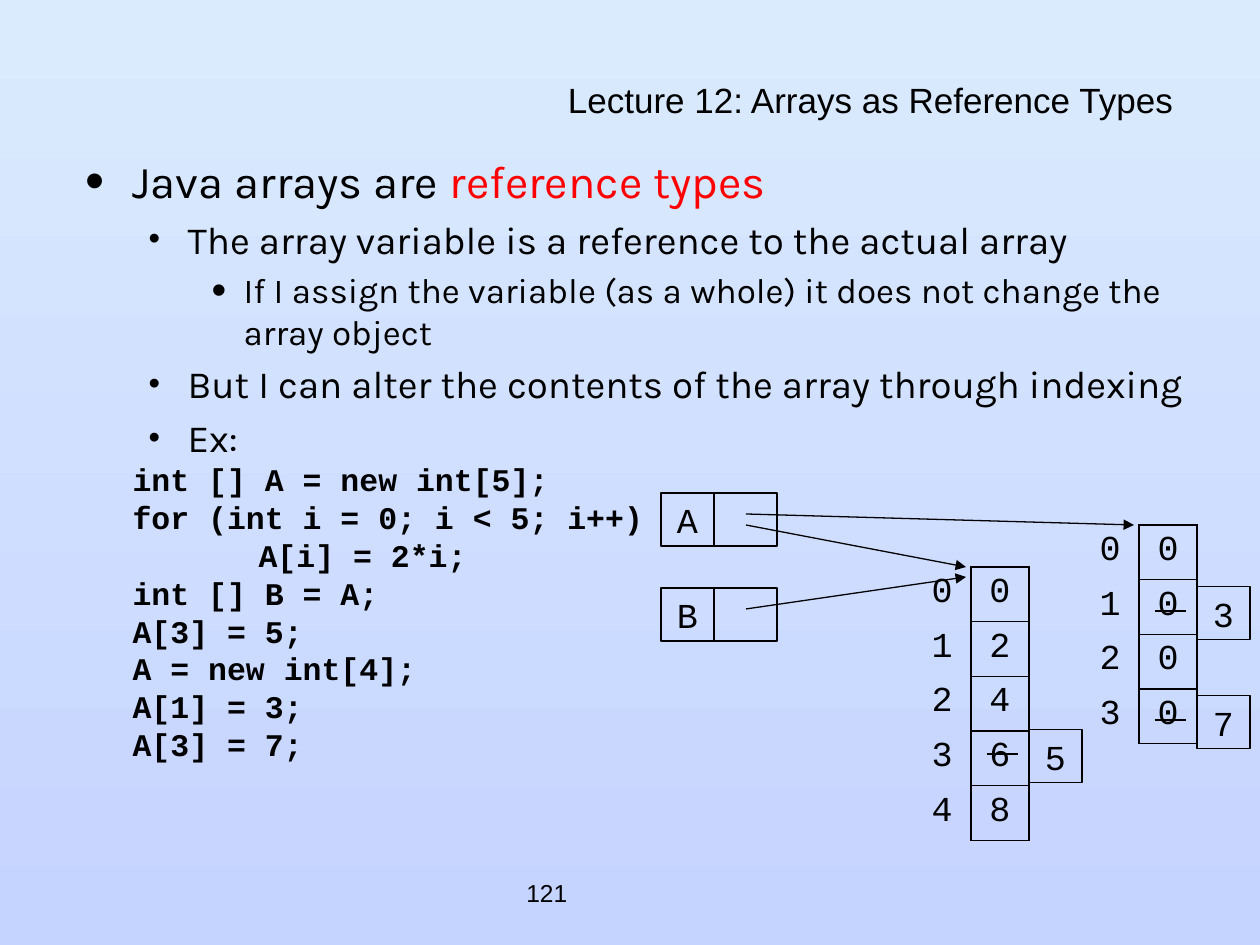
from lxml.etree import SubElement
from pptx import Presentation
from pptx.dml.color import RGBColor
from pptx.enum.shapes import MSO_CONNECTOR as Connector, MSO_SHAPE as Shape
from pptx.enum.text import MSO_ANCHOR as Anchor, MSO_AUTO_SIZE as AutoSize, PP_ALIGN as Align
from pptx.oxml.ns import qn
from pptx.util import Emu, Pt

BLACK = RGBColor(0x00, 0x00, 0x00)
RED = RGBColor(0xFF, 0x00, 0x00)
SKY = RGBColor(0xDA, 0xEB, 0xFE)
LAVENDER = RGBColor(0xC5, 0xD3, 0xFF)
SANS, BODY, MONO = "Arial", "Karla", "Courier New"
PLAIN_TABLE = "{2D5ABB26-0587-4C30-8999-92F81FD0307C}"
CELL = 53

LEVELS = [
    {"margin": 47, "hang": 47, "bullet_size": 120, "size": 26},
    {"margin": 102, "hang": 39, "bullet_size": 85, "size": 22},
    {"margin": 158, "hang": 32, "bullet_size": 120, "size": 20},
]
POINTS = [
    (0, [("Java arrays are ", BLACK), ("reference types", RED)]),
    (1, [("The array variable is a reference to the actual array", BLACK)]),
    (2, [("If I assign the variable (as a whole) it does not change the array object", BLACK)]),
    (1, [("But I can alter the contents of the array through indexing", BLACK)]),
    (1, [("Ex:", BLACK)]),
]
CODE = [
    (0, "int [] A = new int[5];"),
    (0, "for (int i = 0; i < 5; i++)"),
    (1, "A[i] = 2*i;"),
    (0, "int [] B = A;"),
    (0, "A[3] = 5;"),
    (0, "A = new int[4];"),
    (0, "A[1] = 3;"),
    (0, "A[3] = 7;"),
]


def px(length):
    """Convert slide pixels to EMU."""
    return Emu(round(length * 914400 / 126))


def place(shape, box):
    """Move and size a shape to a pixel box."""
    shape.left, shape.top, shape.width, shape.height = map(px, box)


def write(paragraph, text, *, size=20, font=MONO, color=BLACK, bold=False, align=None):
    """Append a formatted run to a paragraph."""
    run = paragraph.add_run()
    run.text = text
    run.font.size, run.font.name, run.font.bold = Pt(size), font, bold
    run.font.color.rgb = color
    if align is not None:
        paragraph.alignment = align


def indent(paragraph, margin, hang=0, bullet_size=None):
    """Set the indent of a paragraph and its bullet, if it has one."""
    props = paragraph._p.get_or_add_pPr()
    props.set("marL", str(px(margin)))
    props.set("indent", str(-px(hang)))
    if bullet_size is None:
        SubElement(props, qn("a:buNone"))
        return
    color = SubElement(props, qn("a:buClr"))
    SubElement(color, qn("a:srgbClr"), val=str(BLACK))
    SubElement(props, qn("a:buSzPct"), val=str(bullet_size * 1000))
    SubElement(props, qn("a:buChar"), char="•")


def add_title(slide, box):
    """Fill the title placeholder."""
    title = slide.shapes.title
    place(title, box)
    title.text_frame.vertical_anchor = Anchor.MIDDLE
    heading = title.text_frame.paragraphs[0]
    heading.line_spacing = 0.7
    write(heading, "Lecture 12: Arrays as Reference Types", font=SANS, align=Align.RIGHT)


def add_body(slide, box):
    """Fill the body placeholder with the points and the code example."""
    body = slide.placeholders[1]
    place(body, box)
    frame = body.text_frame
    frame.auto_size = AutoSize.NONE
    for number, (level, runs) in enumerate(POINTS):
        point = frame.add_paragraph() if number else frame.paragraphs[0]
        point.level = level
        style = LEVELS[level]
        indent(point, style["margin"], style["hang"], style["bullet_size"])
        for text, color in runs:
            write(point, text, size=style["size"], font=BODY, color=color)
    for depth, text in CODE:
        statement = frame.add_paragraph()
        indent(statement, LEVELS[0]["margin"] + 126 * depth)
        statement.space_before = Pt(0)
        statement.line_spacing = Pt(21.6)
        write(statement, text, size=18, bold=True)


def add_page_number(slide, box):
    """Add the page number."""
    page_number = slide.shapes.add_textbox(*map(px, box)).text_frame
    page_number.word_wrap = True
    page_number.vertical_anchor = Anchor.MIDDLE
    write(page_number.paragraphs[0], "121", size=14, font=SANS)


def add_square(slide, left, top, width=CELL, text=None):
    """Add an outlined box with an optional centred character."""
    square = slide.shapes.add_shape(Shape.RECTANGLE, *map(px, (left, top, width, CELL)))
    square.shadow.inherit = False
    square.fill.background()
    square.line.color.rgb = BLACK
    square.line.width = Pt(0.75)
    if text:
        square.text_frame.word_wrap = False
        square.text_frame.vertical_anchor = Anchor.MIDDLE
        write(square.text_frame.paragraphs[0], text, align=Align.CENTER)


def add_line(slide, start, end, weight=0.75, arrow=False):
    """Draw a straight line, with an arrowhead at its end if asked."""
    line = slide.shapes.add_connector(Connector.STRAIGHT, *map(px, start + end))
    line.line.color.rgb = BLACK
    line.line.width = Pt(weight)
    if arrow:
        SubElement(line.line._get_or_add_ln(), qn("a:tailEnd"), type="triangle")
    SubElement(line._element.spPr, qn("a:effectLst"))


def add_variable(slide, left, top, name, targets):
    """Draw a reference variable and its arrows, given as (rise of tail, tip)."""
    add_square(slide, left, top, text=name)
    add_square(slide, left + CELL, top, width=63)
    for drop, tip in targets:
        add_line(slide, (left + 85, top + drop), tip, arrow=True)


def outline(cell):
    """Give a table cell a black border on every side."""
    props = cell._tc.get_or_add_tcPr()
    for position, side in enumerate(("lnL", "lnR", "lnT", "lnB")):
        SubElement(props, qn(f"a:{side}"), w=str(Pt(1)))
        border = props[-1]
        fill = SubElement(border, qn("a:solidFill"))
        SubElement(fill, qn("a:srgbClr"), val=str(BLACK))
        props.insert(position, border)


def add_array(slide, box, values, changes):
    """Draw an array table; changes maps an index to its new value."""
    left, top, width, height = box
    row_height = height / len(values)
    table = slide.shapes.add_table(len(values), 2, *map(px, box)).table
    table.first_row = table.horz_banding = False
    table._tbl.tblPr.find(qn("a:tableStyleId")).text = PLAIN_TABLE
    for index, value in enumerate(values):
        table.rows[index].height = px(row_height)
        for column, number in enumerate((index, value)):
            cell = table.cell(index, column)
            cell.fill.background()
            write(cell.text_frame.paragraphs[0], str(number), align=Align.CENTER)
        outline(table.cell(index, 1))
    for index, new_value in changes.items():
        middle = top + (index + 0.5) * row_height
        add_line(slide, (left + 74, middle + 4), (left + 105, middle + 4), weight=1.25)
        add_square(slide, left + width, middle - 20, text=str(new_value))


def main():
    """Build the lecture slide."""
    deck = Presentation()
    deck.slide_width, deck.slide_height = px(1260), px(945)
    slide = deck.slides.add_slide(deck.slide_layouts[1])
    backdrop = slide.background.fill
    backdrop.gradient()
    backdrop.gradient_angle = 270
    for stop, color in zip(backdrop.gradient_stops, (SKY, LAVENDER)):
        stop.color.rgb = color
    add_page_number(slide, (514, 861, 262, 63))
    add_title(slide, (73, 84, 1113, 42))
    add_body(slide, (73, 147, 1124, 714))
    add_array(slide, (913, 567, 116, 261), [0, 2, 4, 6, 8], {3: 5})
    add_array(slide, (1081, 525, 116, 218), [0, 0, 0, 0], {1: 3, 3: 7})
    add_variable(slide, 661, 493, "A", [(32, (966, 567)), (21, (1134, 525))])
    add_variable(slide, 661, 588, "B", [(21, (966, 577))])
    deck.save("out.pptx")


if __name__ == "__main__":
    main()
